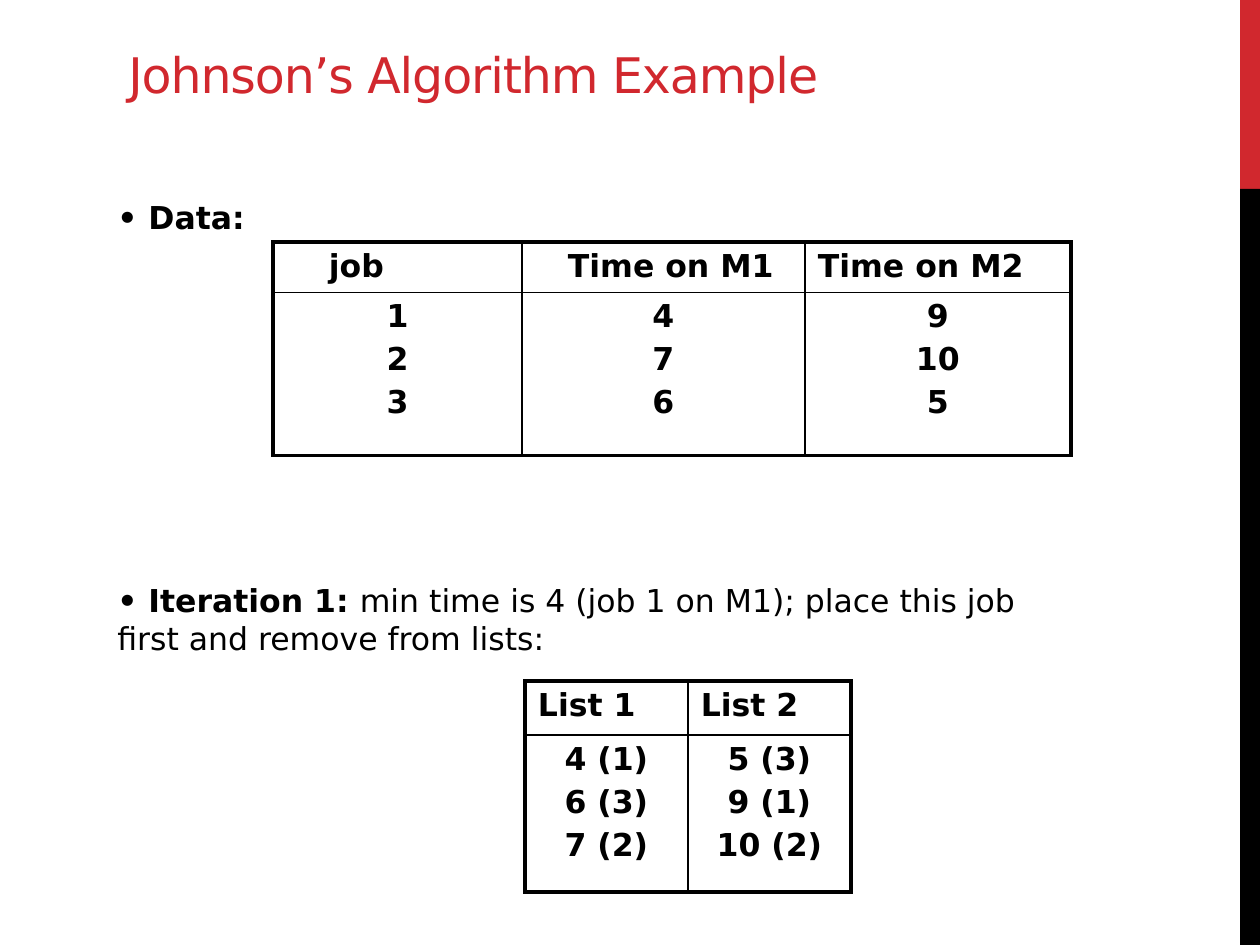
from lxml import etree
from pptx import Presentation
from pptx import util as u
from pptx.dml.color import RGBColor
from pptx.enum import shapes, text
from pptx.oxml import ns

COLORS = {"red": "D1282E", "black": "000000"}
FONT = "DejaVu Sans"
PX = u.Inches(1) / 126


def px(*lengths):
    """Turn px lengths into a list of EMU lengths."""
    return [u.Emu(round(length * PX)) for length in lengths]


def set_font(font, size=18, color="black", bold=None):
    font.name, font.size, font.bold = FONT, u.Pt(size), bold
    font.color.rgb = RGBColor.from_string(COLORS[color])


presentation = Presentation()
presentation.slide_width, presentation.slide_height = px(1260, 945)
slide = presentation.slides.add_slide(presentation.slide_layouts[6])

# Side band
for top, height, color in [(0, 189, "red"), (189, 756, "black")]:
    band = slide.shapes.add_shape(shapes.MSO_SHAPE.RECTANGLE, *px(1240, top, 20, height))
    band.shadow.inherit = False
    band.fill.solid()
    band.fill.fore_color.rgb = RGBColor.from_string(COLORS[color])
    band.line.fill.background()

# Title
title = slide.shapes.add_textbox(*px(116, 32, 1018, 78)).text_frame
title.word_wrap = True
title.vertical_anchor = text.MSO_ANCHOR.BOTTOM
run = title.paragraphs[0].add_run()
run.text = "Johnson’s Algorithm Example"
set_font(run.font, 28, "red")
run.font._element.set("spc", "-60")

# Bulleted statements: top, height, bold lead, plain rest
statements = [
    (192, 50, "• Data:", ""),
    (575, 87, "• Iteration 1: ",
     "min time is 4 (job 1 on M1); place this job first and remove from lists:"),
]
for top, height, lead, rest in statements:
    frame = slide.shapes.add_textbox(*px(105, top, 987, height)).text_frame
    frame.word_wrap = True
    paragraph = frame.paragraphs[0]
    set_font(paragraph.font)
    for words, bold in [(lead, True), (rest, False)]:
        if words:
            run = paragraph.add_run()
            run.text = words
            set_font(run.font, bold=bold)

# Tables: left, top, row heights, columns of (width, header indent, header, values)
tables = [
    (273, 242, (50, 163), [
        (249, 43, "job", ["1", "2", "3"]),
        (283, 33, "Time on M1", ["4", "7", "6"]),
        (266, 0, "Time on M2", ["9", "10", "5"]),
    ]),
    (525, 681, (54, 157), [
        (163, 0, "List 1", ["4 (1)", "6 (3)", "7 (2)"]),
        (163, 0, "List 2", ["5 (3)", "9 (1)", "10 (2)"]),
    ]),
]
for left, top, heights, columns in tables:
    width = sum(column[0] for column in columns)
    table = slide.shapes.add_table(
        2, len(columns), *px(left, top, width, sum(heights))).table
    table.first_row = table.horz_banding = False
    for row, height in zip(table.rows, px(*heights)):
        row.height = height
    for c, (width, indent, header, values) in enumerate(columns):
        table.columns[c].width = px(width)[0]
        for r, lines in enumerate([[header], values]):
            cell = table.cell(r, c)
            if r == 0:
                cell.margin_left = px(13 + indent)[0]
            cell.text = "\n".join(lines)
            for i, paragraph in enumerate(cell.text_frame.paragraphs):
                set_font(paragraph.font, bold=True)
                if r == 1:
                    paragraph.alignment = text.PP_ALIGN.CENTER
                if i:
                    paragraph.space_before = u.Pt(3.6)

            # Outer borders are thicker than inner ones
            properties = cell._tc.get_or_add_tcPr()
            outer = {"L": c == 0, "R": c == len(columns) - 1, "T": r == 0, "B": r == 1}
            for side, is_outer in outer.items():
                line = etree.SubElement(properties, ns.qn(f"a:ln{side}"),
                                        w=str(u.Pt(2.25 if is_outer else 1)))
                fill = etree.SubElement(line, ns.qn("a:solidFill"))
                etree.SubElement(fill, ns.qn("a:srgbClr"), val=COLORS["black"])
            cell.fill.background()

presentation.save("out.pptx")
